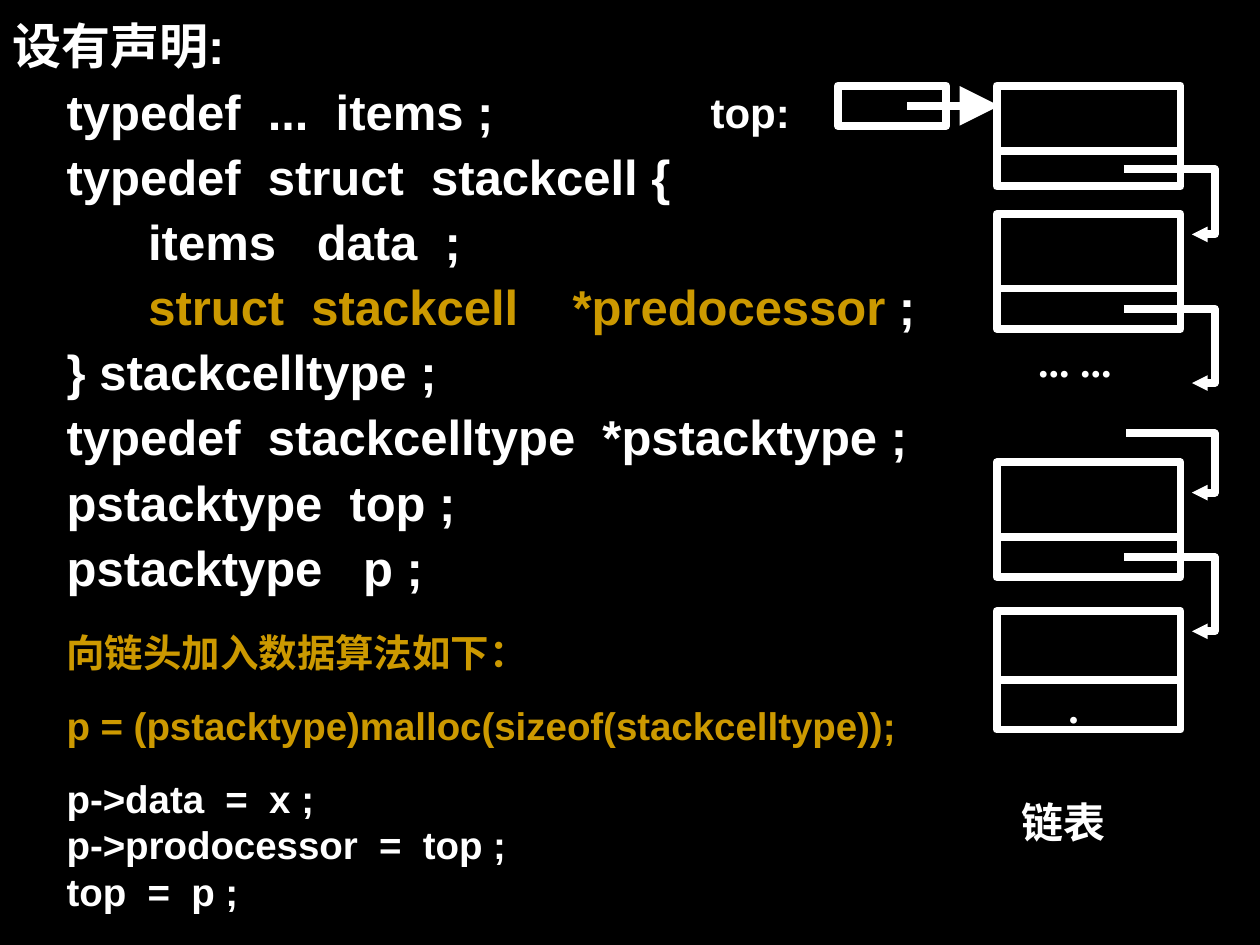
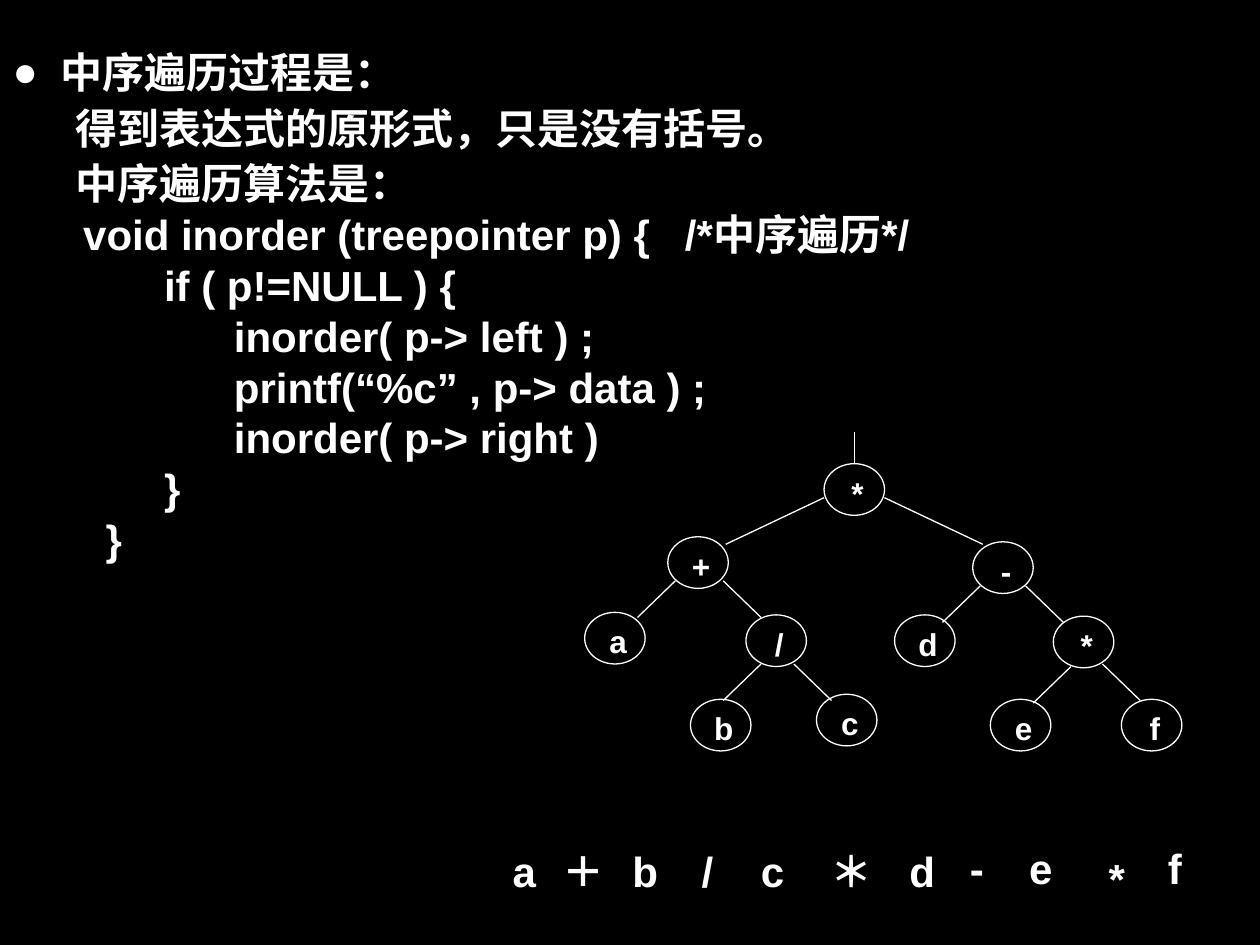
from lxml import etree
from pptx import Presentation
from pptx.dml.color import RGBColor
from pptx.enum.shapes import MSO_CONNECTOR, MSO_SHAPE
from pptx.enum.text import MSO_ANCHOR, MSO_AUTO_SIZE, PP_ALIGN
from pptx.oxml.ns import qn
from pptx.util import Emu, Pt

PX = 9144  # 100 px to the inch
COLORS = {"background": "000000", "text": "FFFFFF", "accent": "CC9900"}
LATIN, CJK, SERIF = "Arial", "Noto Sans CJK SC", "Times New Roman"
TIGHT, ROOMY = (1, 1, 1, 1), (10, 5, 10, 5)


def px(*lengths):
    return [Emu(length * PX) for length in lengths]


def rgb(name):
    return RGBColor.from_string(COLORS[name])


class Deck:
    """Holds the shared style and the slide being drawn."""

    def __init__(self):
        self.prs = Presentation()
        self.prs.slide_width, self.prs.slide_height = px(1000, 750)
        backdrop = self.prs.slide_master.background.fill
        backdrop.solid()
        backdrop.fore_color.rgb = rgb("background")
        self.slide = None

    def new_slide(self, layout):
        self.slide = self.prs.slides.add_slide(self.prs.slide_layouts[layout])

    def frame(self, shape, insets):
        frame = shape.text_frame
        frame.word_wrap = True
        frame.auto_size = MSO_AUTO_SIZE.NONE
        frame.vertical_anchor = MSO_ANCHOR.TOP
        (frame.margin_left, frame.margin_top,
         frame.margin_right, frame.margin_bottom) = px(*insets)
        return frame

    def paragraph(self, frame, runs, size, font=LATIN, spacing=1.0, before=0, after=0,
                  align=PP_ALIGN.LEFT, level=0, indent=(0, 0), bullet=None):
        """Append one paragraph; runs is a list of (text, colour name)."""
        first = frame.paragraphs[0]
        is_first = not first.runs
        para = first if is_first else frame.add_paragraph()
        props = para._p.get_or_add_pPr()
        for key, length in zip(("marL", "indent"), indent):
            props.set(key, str(length * PX))
        if bullet:
            color = etree.SubElement(props, qn("a:buClr"))
            etree.SubElement(color, qn("a:srgbClr"), val=COLORS["text"])
            etree.SubElement(props, qn("a:buChar"), char=bullet)
        else:
            etree.SubElement(props, qn("a:buNone"))
        para.level, para.alignment, para.line_spacing = level, align, spacing
        para.space_before = Pt(0 if is_first else before)
        para.space_after = Pt(after)
        for text, color in runs:
            run = para.add_run()
            run.text = text
            run.font.size, run.font.bold, run.font.name = Pt(size), True, font
            run.font.color.rgb = rgb(color)
            east_asian = etree.Element(qn("a:ea"), typeface=CJK)
            run.font._element.find(qn("a:latin")).addnext(east_asian)

    def text_box(self, *box, insets=ROOMY):
        return self.frame(self.slide.shapes.add_textbox(*px(*box)), insets)

    def label(self, text, box, size=24, insets=TIGHT, **style):
        self.paragraph(self.text_box(*box, insets=insets), [(text, "text")], size, **style)

    def body(self, *box):
        """Place the body placeholder and drop the unused title."""
        title = self.slide.shapes.title._element
        title.getparent().remove(title)
        body = self.slide.placeholders[1]
        body.left, body.top, body.width, body.height = px(*box)
        return self.frame(body, ROOMY)

    def stroke(self, line, weight, arrow=None):
        line.color.rgb = rgb("text")
        line.width = Pt(weight)
        if arrow:
            etree.SubElement(line._get_or_add_ln(), qn("a:tailEnd"),
                             type="triangle", w=arrow, len=arrow)

    def outline(self, kind, box, weight):
        shape = self.slide.shapes.add_shape(kind, *px(*box))
        shape.shadow.inherit = False
        shape.fill.background()
        self.stroke(shape.line, weight)
        return shape

    def line(self, start, end, weight, arrow=None):
        connector = self.slide.shapes.add_connector(
            MSO_CONNECTOR.STRAIGHT, *px(*start, *end))
        self.stroke(connector.line, weight, arrow)
        etree.SubElement(connector._element.spPr, qn("a:effectLst"))
        return connector

    def hook(self, points, weight):
        """Draw an open bent line with a small arrowhead."""
        builder = self.slide.shapes.build_freeform(*points[0], scale=PX)
        builder.add_line_segments(points[1:], close=False)
        shape = builder.convert_to_shape()
        shape.shadow.inherit = False
        shape.fill.background()
        self.stroke(shape.line, weight, arrow="sm")


def linked_list_slide(deck):
    deck.new_slide(6)
    declarations = [
        [("设有声明:", "text")],
        [("    typedef  ...  items ;", "text")],
        [("    typedef  struct  stackcell {", "text")],
        [("          items   data  ;", "text")],
        [("          ", "text"), ("struct  stackcell    *predocessor", "accent"),
         (" ;", "text")],
        [("    } stackcelltype ;", "text")],
        [("    typedef  stackcelltype  *pstacktype ;", "text")],
        [("    pstacktype  top ;", "text")],
        [("    pstacktype   p ;", "text")],
    ]
    declared = deck.text_box(0, 13, 788, 480)
    for runs in declarations:
        deck.paragraph(declared, runs, 28, spacing=0.9, before=7)

    weight = 4.5
    deck.label("top:", (563, 68, 90, 31))
    deck.outline(MSO_SHAPE.RECTANGLE, (665, 68, 86, 32), weight)
    deck.label("... ...", (823, 265, 100, 38), font=SERIF)
    deck.label(".", (847, 540, 45, 26), font=SERIF)
    for top, height, divider in [(68, 80, 120), (170, 91, 229),
                                 (367, 91, 426), (485, 94, 540)]:
        deck.outline(MSO_SHAPE.RECTANGLE, (791, top, 146, height), weight)
        deck.line((791, divider), (940, divider), weight)
    for left, top, drop in [(892, 134, 52), (892, 245, 59), (894, 344, 47), (892, 442, 59)]:
        deck.hook([(left, top), (964, top), (964, top + drop), (946, top + drop)], weight)
    deck.line((720, 84), (793, 84), weight, arrow="lg")
    deck.label("链表", (713, 627, 262, 41), insets=ROOMY, font=CJK, align=PP_ALIGN.CENTER)

    insertion = deck.text_box(43, 501, 772, 249)
    for text, color, after in [
        ("向链头加入数据算法如下：", "accent", 15.1),
        ("p = (pstacktype)malloc(sizeof(stackcelltype));", "accent", 15.1),
        ("p->data  =  x ;", "text", 0),
        ("p->prodocessor  =  top ;", "text", 0),
        ("top  =  p ;", "text", 0),
    ]:
        deck.paragraph(insertion, [(text, color)], 22, spacing=0.8, before=5.5,
                       after=after, indent=(38, -38))


def inorder_slide(deck):
    deck.new_slide(1)
    body = deck.body(0, 28, 957, 433)
    deck.paragraph(body, [("中序遍历过程是：", "text")], 24, spacing=1.1,
                   indent=(38, -38), bullet="●")
    for text in ["得到表达式的原形式，只是没有括号。", "中序遍历算法是："]:
        deck.paragraph(body, [(text, "text")], 24, spacing=1.1, level=1, indent=(81, -31))
    for code in [
        "   　void inorder (treepointer p) {   /*中序遍历*/",
        "             if ( p!=NULL ) {",
        "                   inorder( p-> left ) ;",
        "                   printf(“%c” , p-> data ) ;",
        "                   inorder( p-> right )",
        "             }",
        "        }",
    ]:
        deck.paragraph(body, [(code, "text")], 24, spacing=0.8, before=6, indent=(38, -38))

    weight = 0.75
    nodes = []
    for symbol, left, top in [
        ("*", 654, 368), ("+", 530, 426), ("-", 772, 430), ("a", 464, 486),
        ("/", 592, 488), ("d", 710, 488), ("*", 836, 489), ("b", 548, 555),
        ("c", 648, 551), ("e", 786, 555), ("f", 890, 555),
    ]:
        node = deck.outline(MSO_SHAPE.OVAL, (left, top, 48, 41), weight)
        deck.paragraph(deck.frame(node, (5, 2, 0, 0)), [(symbol, "text")], 18,
                       align=PP_ALIGN.CENTER)
        nodes.append(node)

    stem = deck.line((678, 343), (678, 368), weight)
    stem.end_connect(nodes[0], 0)
    root_branch, branch = (78, 37), (30, 29)
    for x, y, side, (run, drop) in [
        (654, 395, -1, root_branch), (702, 395, 1, root_branch),
        (536, 461, -1, branch), (574, 461, 1, branch),
        (604, 527, -1, branch), (630, 527, 1, branch),
        (778, 465, -1, branch), (814, 465, 1, branch),
        (850, 529, -1, branch), (875, 527, 1, branch),
    ]:
        deck.line((x, y), (x + side * run, y + drop), weight)

    for symbol, left, top in [
        ("a", 397, 666), ("＋", 437, 666), ("b", 492, 666), ("/", 547, 666),
        ("c", 594, 666), ("＊", 649, 666), ("d", 712, 666), ("-", 760, 664),
        ("e", 807, 664), ("*", 870, 672), ("f", 917, 664),
    ]:
        deck.label(symbol, (left, top, 47, 50), insets=ROOMY)


def main():
    deck = Deck()
    linked_list_slide(deck)
    inorder_slide(deck)
    deck.prs.save("out.pptx")


if __name__ == "__main__":
    main()
